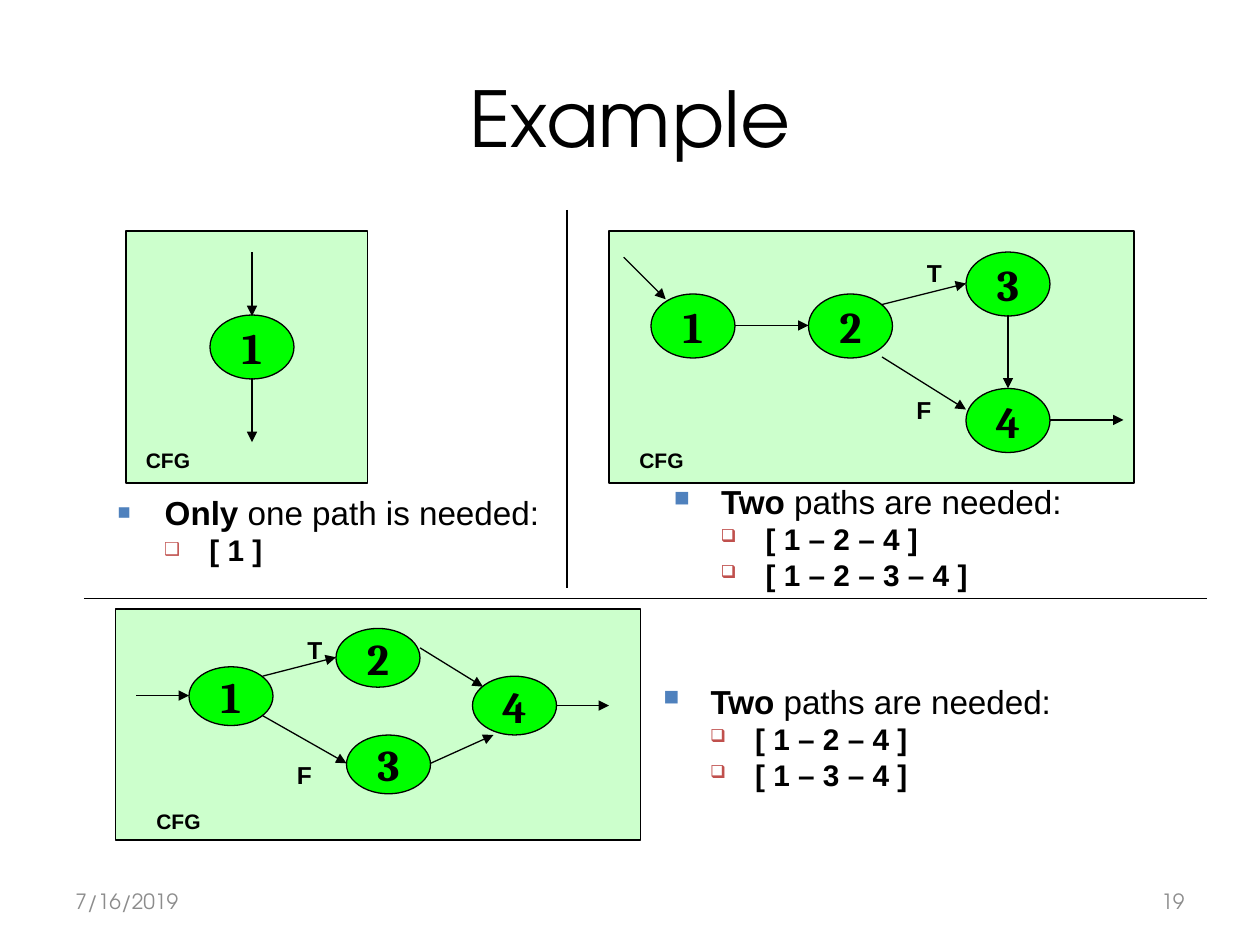
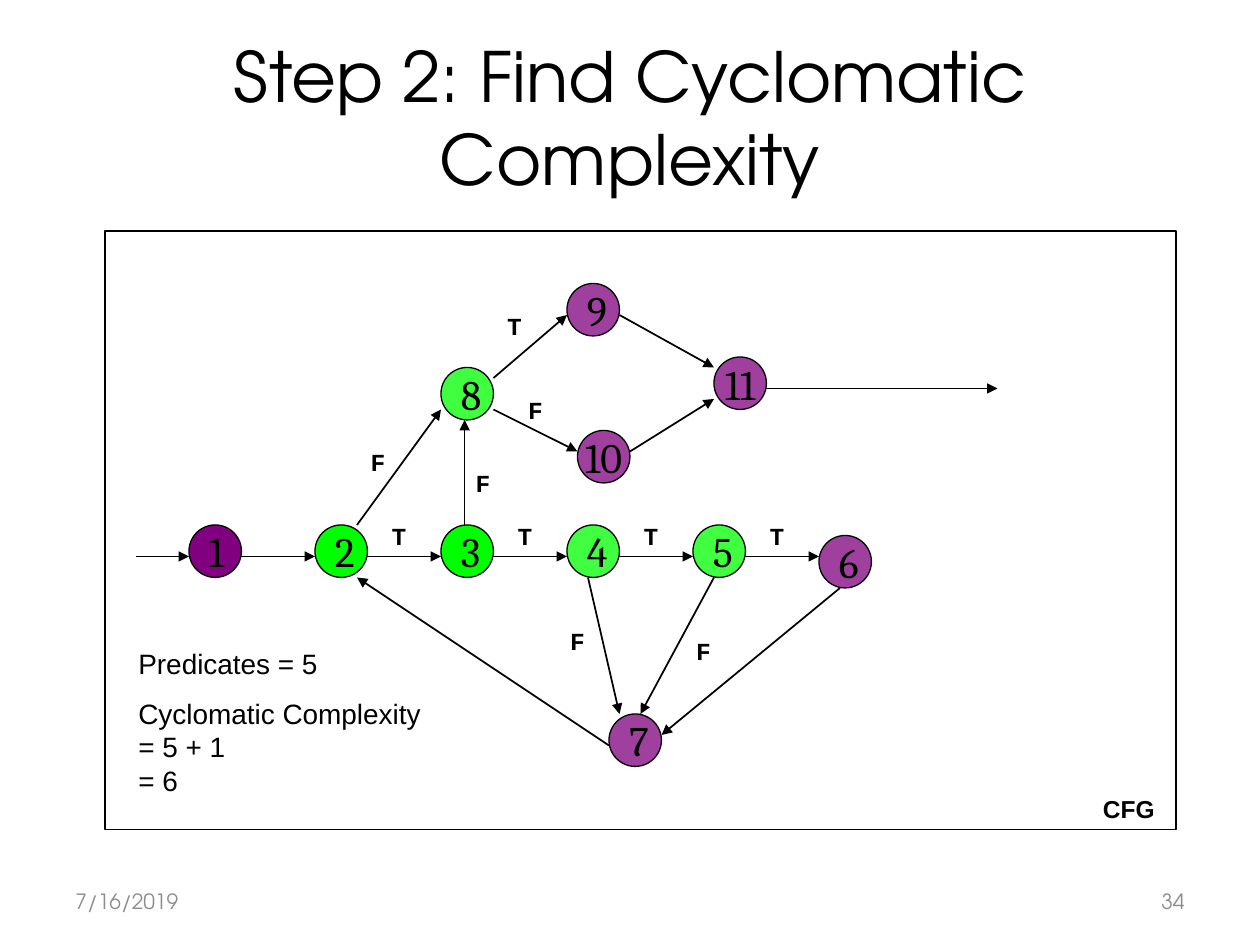
import lxml.etree
import pptx
import pptx.dml.color
import pptx.enum.shapes
import pptx.enum.text
import pptx.oxml.ns
import pptx.util

COLORS = {
    "ink": "000000",
    "footer": "8C8C8C",
    "panel": "CCFFCC",
    "green": "00FF00",
    "purple": "800080",
    "bullet": "4F81BD",
    "sub_bullet": "C0504D",
}
HEADING, BODY, SERIF, MONO = "TeX Gyre Adventor", "Arial", "Cambria", "Courier New"
GRID = pptx.util.Cm(2.54) / 12  # every position below counts these steps

Pt = pptx.util.Pt
RGB = pptx.dml.color.RGBColor.from_string
ALIGN = pptx.enum.text.PP_ALIGN
ANCHOR = pptx.enum.text.MSO_ANCHOR
SHAPE = pptx.enum.shapes.MSO_SHAPE
qn = pptx.oxml.ns.qn


def add_run(p, text, size, font=BODY, bold=False, color="ink"):
    r = p.add_run()
    r.text = text
    r.font.size = Pt(size)
    r.font.name = font
    r.font.bold = bold
    r.font.color.rgb = RGB(COLORS[color])


def add_line(s, ends, width, arrow=True):
    """Draw a straight line between (x1, y1, x2, y2), given in grid steps."""
    cx = s.shapes.add_connector(
        pptx.enum.shapes.MSO_CONNECTOR.STRAIGHT, *[round(v * GRID) for v in ends])
    cx.line.color.rgb = RGB(COLORS["ink"])
    cx.line.width = Pt(width)
    spPr = cx._element.spPr
    if arrow:
        lxml.etree.SubElement(spPr.find(qn("a:ln")), qn("a:tailEnd"), type="triangle")
    lxml.etree.SubElement(spPr, qn("a:effectLst"))


prs = pptx.Presentation()
prs.slide_width = pptx.util.Cm(25.4)
prs.slide_height = pptx.util.Cm(19.05)

# Titles and footers
slides = []
for layout, title, size, number in [
    (1, "Example", 44, "19"),
    (5, "Step 2: Find Cyclomatic Complexity", 39.6, "34"),
]:
    s = prs.slides.add_slide(prs.slide_layouts[layout])
    slides.append(s)
    sp = s.shapes.title
    sp.left, sp.top, sp.width, sp.height = [round(v * GRID) for v in (6, 3.6, 108, 15)]
    tf = sp.text_frame
    tf.auto_size = pptx.enum.text.MSO_AUTO_SIZE.NONE
    tf.vertical_anchor = ANCHOR.MIDDLE
    p = tf.paragraphs[0]
    p.alignment = ALIGN.CENTER
    add_run(p, title, size, HEADING)
    for x, text, align in [(6, "7/16/2019", ALIGN.LEFT), (86, number, ALIGN.RIGHT)]:
        sp = s.shapes.add_textbox(*[round(v * GRID) for v in (x, 83.4, 28, 4.8)])
        tf = sp.text_frame
        tf.word_wrap = True
        tf.vertical_anchor = ANCHOR.MIDDLE
        p = tf.paragraphs[0]
        p.alignment = align
        add_run(p, text, 12, HEADING, color="footer")
example, step = slides

# Graph panels
for s, box, fill in [
    (example, (12, 22, 23, 24), "panel"),
    (example, (58, 22, 50, 24), "panel"),
    (example, (11, 58, 50, 22), "panel"),
    (step, (10, 22, 102, 57), None),
]:
    sp = s.shapes.add_shape(SHAPE.RECTANGLE, *[round(v * GRID) for v in box])
    sp.shadow.inherit = False
    sp.line.color.rgb = RGB(COLORS["ink"])
    sp.line.width = Pt(1)
    if fill:
        sp.fill.solid()
        sp.fill.fore_color.rgb = RGB(COLORS[fill])
    else:
        sp.fill.background()

# Graph nodes: slide, text, left, top, width, height, fill, opacity
nodes = [(example, text, x, y, 8, h, "green", 100) for text, x, y, h in [
    ("1", 20, 30, 6.1),
    ("1", 62, 28, 6.1), ("2", 77, 28, 6.1), ("3", 92, 24, 6.1), ("4", 92, 37, 6.1),
    ("1", 18, 63.5, 5.6), ("2", 32, 59.85, 5.6), ("3", 33, 70, 5.6), ("4", 45, 64.4, 5.6),
]]
nodes += [(step, text, x, y, 5, 5, fill, opacity) for text, x, y, fill, opacity in [
    ("1", 18, 50, "purple", 100), ("2", 30, 50, "green", 100),
    ("3", 42, 50, "green", 100), ("4", 54, 50, "green", 75),
    ("5", 66, 50, "green", 75), ("6", 78, 51, "purple", 75),
    ("7", 58, 68, "purple", 75), ("8", 42, 35, "green", 75),
    ("9", 54, 27, "purple", 75), ("10", 55, 41, "purple", 75),
    ("11", 68, 34, "purple", 75),
]]
for s, text, x, y, w, h, fill, opacity in nodes:
    sp = s.shapes.add_shape(SHAPE.OVAL, *[round(v * GRID) for v in (x, y, w, h)])
    sp.shadow.inherit = False
    sp.fill.solid()
    sp.fill.fore_color.rgb = RGB(COLORS[fill])
    if opacity < 100:
        color = sp._element.spPr.find(qn("a:solidFill")).find(qn("a:srgbClr"))
        lxml.etree.SubElement(color, qn("a:alpha"), val=str(opacity * 1000))
    sp.line.color.rgb = RGB(COLORS["ink"])
    sp.line.width = Pt(0.75)
    tf = sp.text_frame
    tf.word_wrap = False
    tf.vertical_anchor = ANCHOR.MIDDLE
    p = tf.paragraphs[0]
    centered = s is example or len(text) == 2
    p.alignment = ALIGN.CENTER if centered else ALIGN.LEFT
    add_run(p, text, 25 if s is example else 24, SERIF, bold=s is example)

# Graph edges
for ends in [
    (24, 24, 24, 30.1), (24, 36, 24, 42.1),
    (59.4, 24.5, 63.4, 28.5), (70, 31, 77, 31), (84, 29, 92, 27),
    (84, 34, 92, 39), (96, 30, 96, 37), (100, 40, 107, 40),
    (13, 66.25, 18, 66.25), (25, 64.4, 32, 62.6), (25, 68.15, 33, 72.7),
    (40, 61.7, 46, 65.4), (41, 72.7, 47, 70), (53, 67.2, 58, 67.2),
]:
    add_line(example, ends, 0.75)
for ends in [
    (13, 53, 18, 53), (23, 53, 30, 53), (35, 53, 42, 53), (47, 53, 54, 53),
    (59, 53, 66, 53), (71, 53, 78, 53), (80, 56, 63, 70), (68, 55, 61, 68),
    (56, 55, 59, 68), (58, 71, 34, 55), (34, 50, 42, 39), (44.25, 50, 44.25, 40),
    (47, 36, 54, 30), (47, 39, 55, 43), (59, 30, 68, 35), (60, 43, 68, 38),
    (73, 37, 95, 37),
]:
    add_line(step, ends, 1)
for divider in [(8, 57, 115, 57), (54, 20, 54, 56)]:
    add_line(example, divider, 1, arrow=False)

# Edge and panel labels
labels = [(example, "CFG", x, y, 8, 12, BODY) for x, y in [(12, 42), (59, 42), (13, 76.4)]]
labels += [(example, text, x, y, 6, 14, BODY) for text, x, y in [
    ("T", 86, 24), ("F", 85, 37), ("T", 27, 59.85), ("F", 26, 71.8)]]
labels += [(step, "T", x, y, 6, 14, MONO) for x, y in [
    (35, 49), (47, 49), (59, 49), (71, 49), (46, 29)]]
labels += [(step, "F", x, y, 6, 14, MONO) for x, y in [
    (48, 37), (33, 42), (52, 59), (64, 60), (43, 44)]]
labels.append((step, "CFG", 103, 75, 9, 14, BODY))
for s, text, x, y, w, size, font in labels:
    sp = s.shapes.add_textbox(*[round(v * GRID) for v in (x, y, w, 4)])
    tf = sp.text_frame
    tf.word_wrap = True
    p = tf.paragraphs[0]
    p.alignment = ALIGN.CENTER
    add_run(p, text, size, font, bold=True)

# Path lists
first_list = example.placeholders[1]
for sp, box, count, rest, paths in [
    (first_list, (10, 47, 43, 8), "Only ", "one path is needed:", ["[ 1 ]"]),
    (None, (63, 46, 45, 13), "Two ", "paths are needed:",
     ["[ 1 – 2 – 4 ]", "[ 1 – 2 – 3 – 4 ]"]),
    (None, (62, 65, 40, 16), "Two ", "paths are needed:",
     ["[ 1 – 2 – 4 ]", "[ 1 – 3 – 4 ]"]),
]:
    sp = sp or example.shapes.add_textbox(0, 0, 0, 0)
    sp.left, sp.top, sp.width, sp.height = [round(v * GRID) for v in box]
    tf = sp.text_frame
    tf.word_wrap = True
    tf.auto_size = pptx.enum.text.MSO_AUTO_SIZE.NONE
    for i, text in enumerate([count] + paths):
        p = tf.paragraphs[0] if i == 0 else tf.add_paragraph()
        if i == 0:
            bullet, color, percent, margin, indent = "■", "bullet", 65, 0.95, -0.95
        else:
            bullet, color, percent, margin, indent = "❑", "sub_bullet", 60, 1.85, -0.91
            p.level = 1
        pPr = p._p.get_or_add_pPr()
        pPr.set("marL", str(pptx.util.Cm(margin)))
        pPr.set("indent", str(pptx.util.Cm(indent)))
        buClr = lxml.etree.SubElement(pPr, qn("a:buClr"))
        lxml.etree.SubElement(buClr, qn("a:srgbClr"), val=COLORS[color])
        lxml.etree.SubElement(pPr, qn("a:buSzPct"), val=str(percent * 1000))
        lxml.etree.SubElement(pPr, qn("a:buChar"), char=bullet)
        p.line_spacing = 0.8
        p.space_before = Pt(4 if i else 0)
        add_run(p, text, 17 if i else 19, bold=True)
        if i == 0:
            add_run(p, rest, 19)

# Complexity result
sp = step.shapes.add_textbox(*[round(v * GRID) for v in (12, 61, 30, 15.6)])
tf = sp.text_frame
tf.word_wrap = True
add_run(tf.paragraphs[0], "Predicates = 5", 16)
p = tf.add_paragraph()
p.space_before = Pt(9)
for i, text in enumerate(["Cyclomatic Complexity", "= 5 + 1", "= 6"]):
    if i:
        p.add_line_break()
    add_run(p, text, 16)

prs.save("out.pptx")
